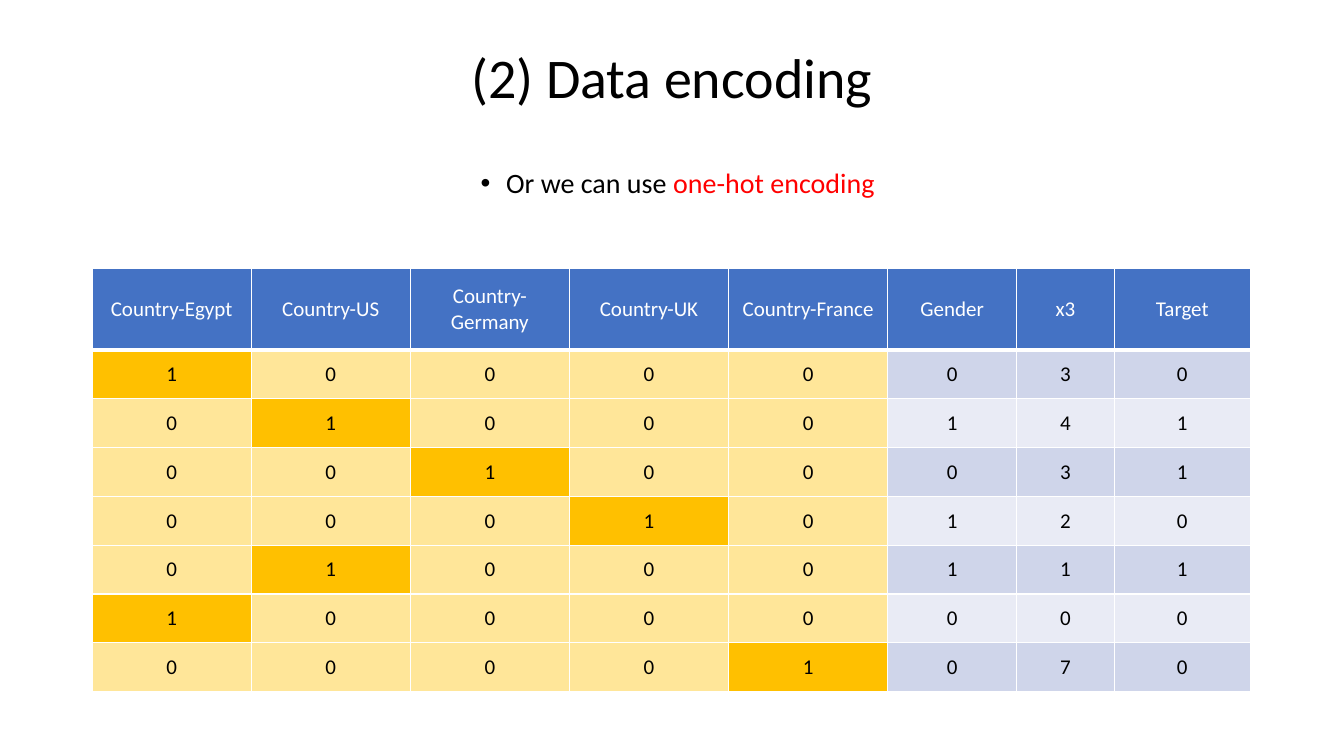
from dataclasses import dataclass

from lxml import etree
from pptx import Presentation
from pptx.dml.color import RGBColor
from pptx.enum.text import MSO_ANCHOR, PP_ALIGN
from pptx.oxml.ns import qn
from pptx.util import Cm, Pt

CENTER = PP_ALIGN.CENTER
MIDDLE = MSO_ANCHOR.MIDDLE
TOP = MSO_ANCHOR.TOP


@dataclass(frozen=True)
class Theme:
    font: str = "Calibri"
    title_size: int = 40
    body_size: int = 20
    table_size: int = 15
    black: str = "000000"
    white: str = "FFFFFF"
    red: str = "FF0000"
    header: str = "4472C4"
    hot: str = "FFC000"
    cold: str = "FFE699"
    bands: tuple = ("CFD5EA", "E9EBF5")


theme = Theme()


def add_run(paragraph, text, size, color):
    run = paragraph.add_run()
    run.text = text
    run.font.name = theme.font
    run.font.size = Pt(size)
    run.font.bold = False
    run.font.color.rgb = RGBColor.from_string(color)


def add_border(cell, side, width):
    line = etree.SubElement(cell._tc.get_or_add_tcPr(), qn("a:" + side), w=str(Pt(width)))
    fill = etree.SubElement(line, qn("a:solidFill"))
    etree.SubElement(fill, qn("a:srgbClr"), val=theme.white)


presentation = Presentation()
presentation.slide_width = Cm(33.87)
presentation.slide_height = Cm(19.05)
slide = presentation.slides.add_slide(presentation.slide_layouts[6])

# Title and bullet line
text_blocks = [
    (0.48, 3.1, MIDDLE, theme.title_size, [("(2) Data encoding", theme.black)]),
    (4.06, 2.13, TOP, theme.body_size,
     [("Or we can use ", theme.black), ("one-hot encoding", theme.red)]),
]
for top, height, anchor, size, runs in text_blocks:
    shape = slide.shapes.add_textbox(Cm(2.79), Cm(top), Cm(28.27), Cm(height))
    frame = shape.text_frame
    frame.word_wrap = True
    frame.vertical_anchor = anchor
    paragraph = frame.paragraphs[0]
    paragraph.alignment = CENTER
    paragraph.line_spacing = 0.9
    for text, color in runs:
        add_run(paragraph, text, size, color)

# Bullet of the last text block
frame.margin_top = Cm(0.2)
paragraph.space_after = Pt(6)
properties = paragraph._p.get_or_add_pPr()
properties.set("marL", str(Cm(0.95)))
properties.set("indent", str(Cm(-0.64)))
etree.SubElement(properties, qn("a:buFont"), typeface="Arial")
etree.SubElement(properties, qn("a:buChar"), char="•")

# Table data: country of each record, then gender, x3 and target
countries = ["Egypt", "US", "Germany", "UK", "France"]
records = [
    ("Egypt", 0, 3, 0),
    ("US", 1, 4, 1),
    ("Germany", 0, 3, 1),
    ("UK", 1, 2, 0),
    ("US", 1, 1, 1),
    ("Egypt", 0, 0, 0),
    ("France", 0, 7, 0),
]
rows = [[f"Country-{name}" for name in countries] + ["Gender", "x3", "Target"]]
for country, *features in records:
    rows.append([int(name == country) for name in countries] + features)

# Table grid
column_widths = [4.01] * len(countries) + [3.25, 2.46, 3.43]
row_heights = [2.06] + [1.23] * len(records)
table = slide.shapes.add_table(
    len(rows), len(column_widths), Cm(2.32), Cm(6.76),
    Cm(sum(column_widths)), Cm(sum(row_heights)),
).table
for column, width in zip(table.columns, column_widths):
    column.width = Cm(width)
for row, height in zip(table.rows, row_heights):
    row.height = Cm(height)

# Table cells
for row_index, values in enumerate(rows):
    for column_index, value in enumerate(values):
        is_header = row_index == 0
        if is_header:
            fill_color = theme.header
        elif column_index < len(countries):
            fill_color = theme.hot if value else theme.cold
        else:
            fill_color = theme.bands[(row_index - 1) % 2]

        cell = table.cell(row_index, column_index)
        cell.vertical_anchor = MIDDLE
        cell.margin_left = cell.margin_right = Cm(0.28)
        cell.margin_top = cell.margin_bottom = Cm(0.15)
        for side in ("lnL", "lnR", "lnT", "lnB"):
            add_border(cell, side, 3 if is_header and side == "lnB" else 1)
        cell.fill.solid()
        cell.fill.fore_color.rgb = RGBColor.from_string(fill_color)
        paragraph = cell.text_frame.paragraphs[0]
        paragraph.alignment = CENTER
        add_run(paragraph, str(value), theme.table_size,
                theme.white if is_header else theme.black)

presentation.save("out.pptx")
